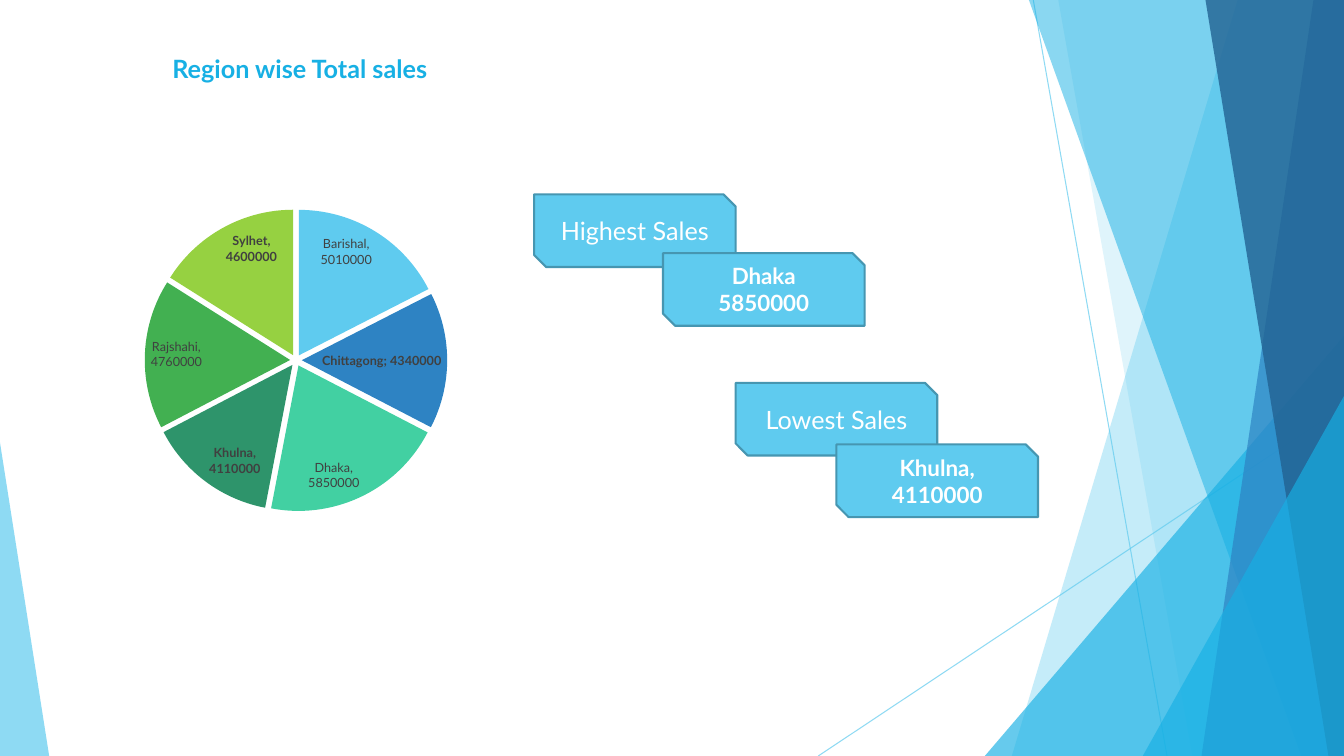
from lxml.etree import SubElement
from pptx import Presentation
from pptx.chart.data import CategoryChartData
from pptx.dml.color import RGBColor
from pptx.enum.chart import XL_CHART_TYPE, XL_LABEL_POSITION
from pptx.enum.shapes import MSO_CONNECTOR, MSO_SHAPE
from pptx.enum.text import MSO_ANCHOR, MSO_AUTO_SIZE, PP_ALIGN
from pptx.oxml import parse_xml
from pptx.oxml.ns import nsdecls, qn
from pptx.util import Cm, Pt

HUES = {
    "sky": "5FCBEF", "cyan": "17B0E4", "blue": "2E83C3", "navy": "226292",
    "mint": "42D0A2", "pine": "2E946B", "green": "42B051", "lime": "96D141",
    "edge": "4696B1", "grey": "404040", "white": "FFFFFF",
}
FONT = "Lato"
WIDE, HIGH = 33.87, 19.05


def write(frame, text, size=18, hue="white", bold=False, align=PP_ALIGN.CENTER):
    frame.text = text
    for para in frame.paragraphs:
        para.alignment = align
        for run in para.runs:
            run.font.name = FONT
            run.font.size = Pt(size)
            run.font.bold = bold
            run.font.color.rgb = RGBColor.from_string(HUES[hue])


def tint(shape, fill, hue, alpha):
    fill.solid()
    fill.fore_color.rgb = RGBColor.from_string(HUES[hue])
    for node in shape.element.iter(qn("a:srgbClr")):
        SubElement(node, qn("a:alpha")).set("val", str(alpha * 1000))


deck = Presentation()
deck.slide_width, deck.slide_height = Cm(WIDE), Cm(HIGH)
slide = deck.slides.add_slide(deck.slide_layouts[5])
shapes = slide.shapes

title = shapes.title
title.left, title.top, title.width, title.height = Cm(4.09), Cm(1.22), Cm(9.37), Cm(1.02)
title.text_frame.word_wrap = True
title.text_frame.auto_size = MSO_AUTO_SIZE.NONE
title.text_frame.vertical_anchor = MSO_ANCHOR.MIDDLE
write(title.text_frame, "Region wise Total sales", hue="cyan", bold=True, align=PP_ALIGN.LEFT)

for x1, y1, x2, y2 in [(26.04, 0, 29.41, HIGH), (WIDE, 10.24, 20.62, HIGH)]:
    line = shapes.add_connector(MSO_CONNECTOR.STRAIGHT, Cm(x1), Cm(y1), Cm(x2), Cm(y2))
    line.line.width = Pt(0.75)
    tint(line, line.line.fill, "sky", 70)
    SubElement(line.element.spPr, qn("a:effectLst"))

FACETS = [
    ("band", (31.19, 25.5), "sky", 36),
    ("band", (26.67, 30.05), "sky", 20),
    ("peak", (24.82, 8.46, 9.05, 1), "cyan", 66),
    ("band", (25.93, 32.79), "cyan", 50),
    ("band", (33.1, 30.28), "blue", 70),
    ("band", (30.38, 33.48), "navy", 80),
    ("peak", (28.8, 9.98, 5.07, 1), "cyan", 66),
    ("peak", (0, 11.15, 1.24, 0), "sky", 70),
]
for kind, dims, hue, alpha in FACETS:
    if kind == "band":
        head, foot = dims
        pen = shapes.build_freeform(Cm(head), 0)
        pen.add_line_segments([(Cm(WIDE), 0), (Cm(WIDE), Cm(HIGH)), (Cm(foot), Cm(HIGH))])
        facet = pen.convert_to_shape()
    else:
        left, top, width, tip = dims
        facet = shapes.add_shape(
            MSO_SHAPE.ISOSCELES_TRIANGLE, Cm(left), Cm(top), Cm(width), Cm(HIGH - top))
        facet.adjustments[0] = tip
    facet.shadow.inherit = False
    facet.line.fill.background()
    tint(facet, facet.fill, hue, alpha)

SALES = [
    ("Barishal", 5010000, "sky", False),
    ("Chittagong", 4340000, "blue", True),
    ("Dhaka", 5850000, "mint", False),
    ("Khulna", 4110000, "pine", True),
    ("Rajshahi", 4760000, "green", False),
    ("Sylhet", 4600000, "lime", True),
]
data = CategoryChartData()
data.categories = [name for name, *rest in SALES]
data.add_series("Series 1", [row[1] for row in SALES])
chart = shapes.add_chart(
    XL_CHART_TYPE.PIE, Cm(0.58), Cm(4.22), Cm(13.23), Cm(9.53), data).chart
chart.has_title = False
chart.has_legend = False
chart.font.name = FONT
chart.font.size = Pt(10)
plot = chart.plots[0]
plot.vary_by_categories = True
pie = plot.series[0]
pie.format.line.fill.background()
burst = parse_xml(f'<c:explosion {nsdecls("c")} val="4"/>')
pie.format.element.spPr.addnext(burst) if hasattr(pie.format, "element") else \
    pie._element.get_or_add_spPr().addnext(burst)

labels = pie.data_labels
labels.show_value = True
labels.show_category_name = True
labels.show_percentage = False
labels.position = XL_LABEL_POSITION.INSIDE_END
labels.font.name = FONT
labels.font.size = Pt(9)
labels.font.bold = True
labels.font.color.rgb = RGBColor.from_string(HUES["grey"])

for num, (name, value, hue, bold) in enumerate(SALES):
    point = pie.points[num]
    point.format.fill.solid()
    point.format.fill.fore_color.rgb = RGBColor.from_string(HUES[hue])
    if name != "Chittagong":
        label = point.data_label
        write(label.text_frame, f"{name},\n{value}", size=9, hue="grey", bold=bold)
        label.position = XL_LABEL_POSITION.INSIDE_END

area = chart.element.find(".//" + qn("c:plotArea"))
for old in area.findall(qn("c:layout")):
    area.remove(old)
area.insert(0, parse_xml(
    f'<c:layout {nsdecls("c")}><c:manualLayout><c:layoutTarget val="inner"/>'
    '<c:xMode val="edge"/><c:yMode val="edge"/><c:x val="0.23"/><c:y val="0.11"/>'
    '<c:w val="0.58"/><c:h val="0.8"/></c:manualLayout></c:layout>'))

CARDS = [
    (13.46, 4.9, "Highest Sales", 18, False),
    (16.71, 6.38, "Dhaka\n5850000", 16, True),
    (18.54, 9.65, "Lowest Sales", 18, False),
    (21.08, 11.2, "Khulna,\n4110000", 16, True),
]
for left, top, text, size, bold in CARDS:
    card = shapes.add_shape(
        MSO_SHAPE.SNIP_2_DIAG_RECTANGLE, Cm(left), Cm(top), Cm(5.08), Cm(1.83))
    card.shadow.inherit = False
    card.fill.solid()
    card.fill.fore_color.rgb = RGBColor.from_string(HUES["sky"])
    card.line.color.rgb = RGBColor.from_string(HUES["edge"])
    card.line.width = Pt(1.5)
    card.text_frame.vertical_anchor = MSO_ANCHOR.MIDDLE
    write(card.text_frame, text, size=size, bold=bold)

deck.save("out.pptx")
